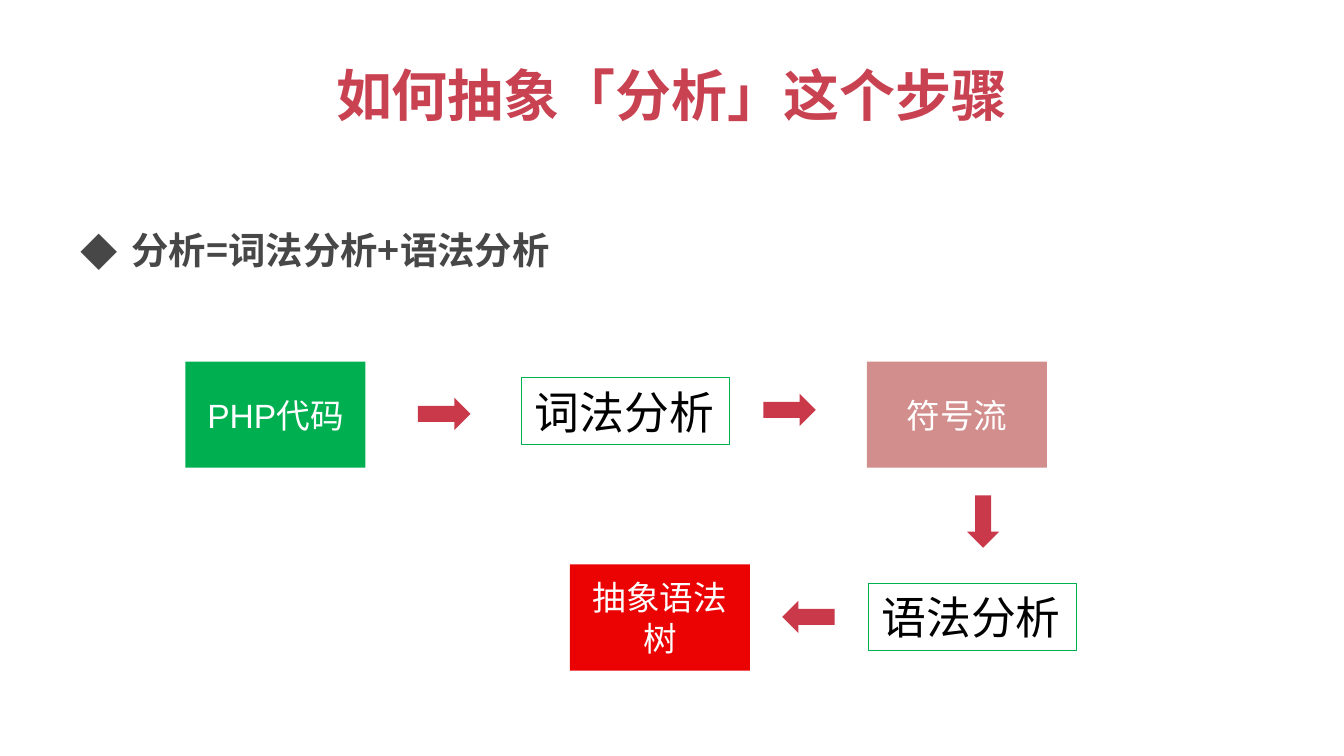
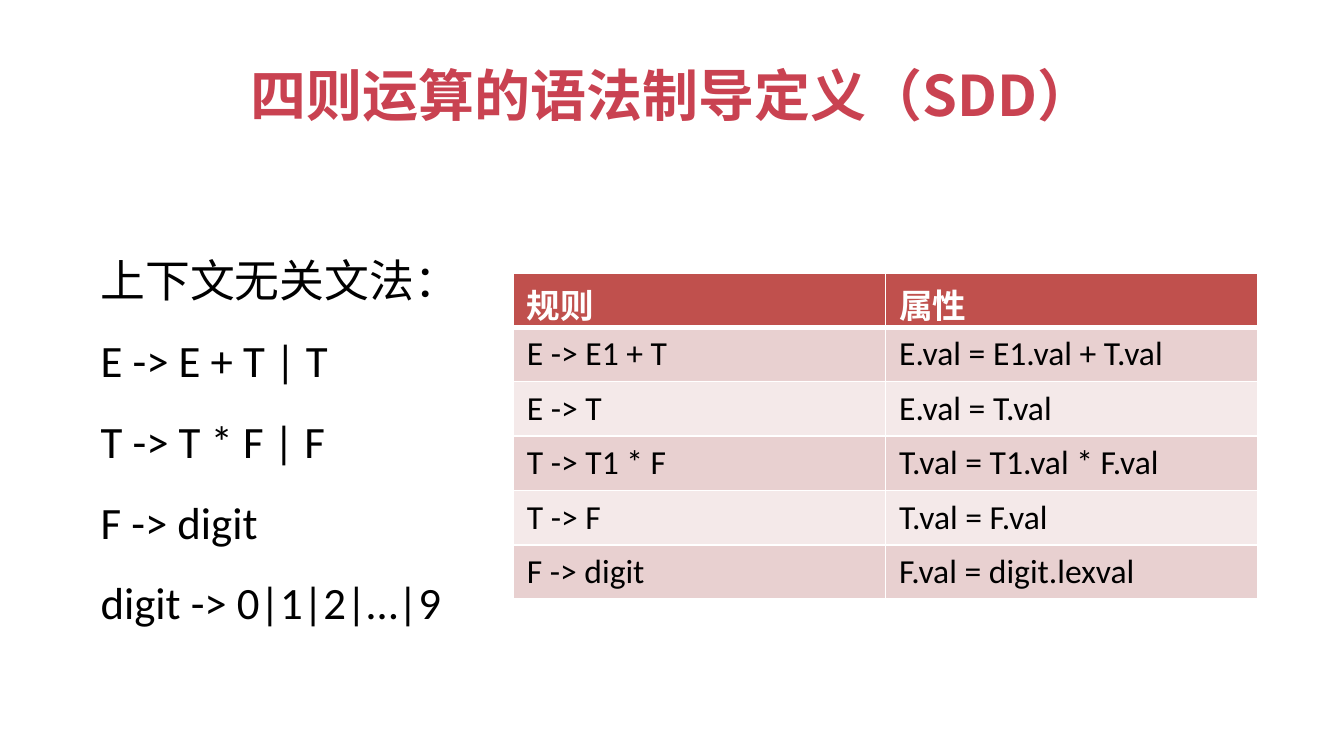
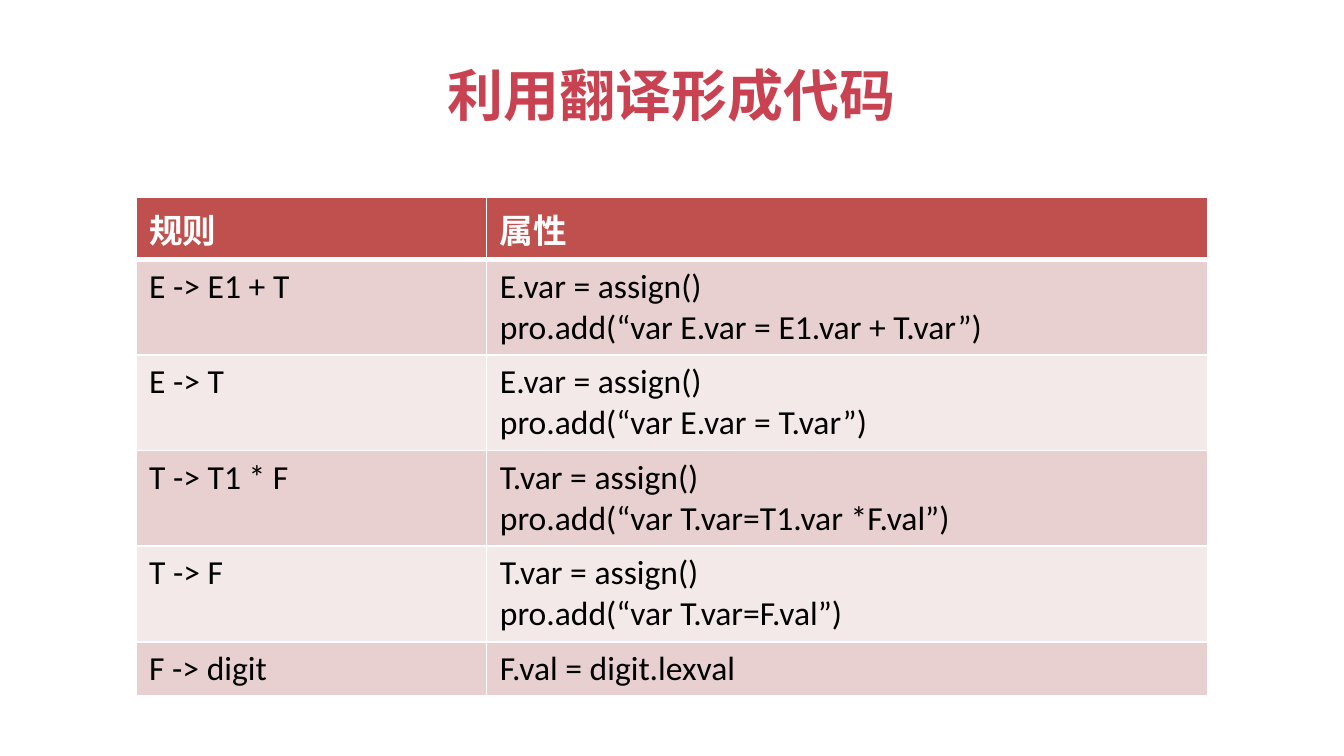
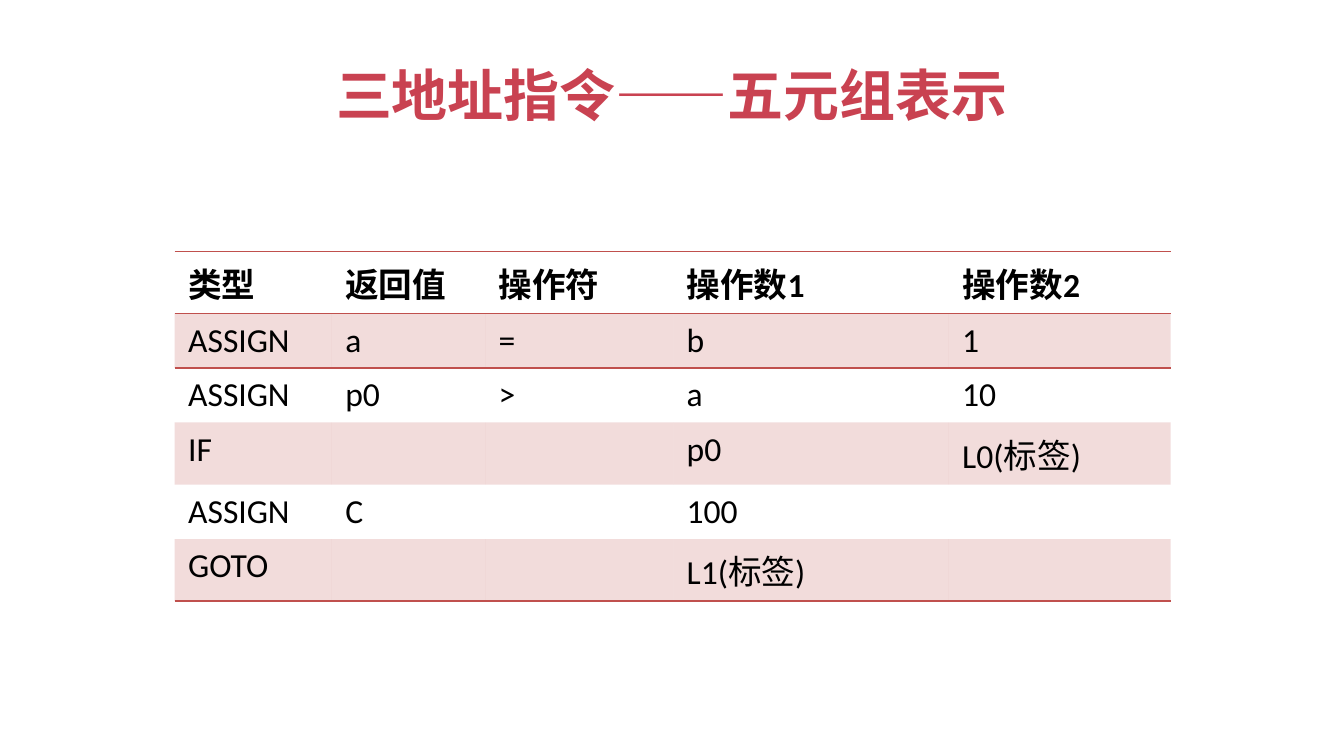
import lxml.etree
import pptx
import pptx.dml.color
import pptx.enum.shapes
import pptx.enum.text
import pptx.oxml.ns
import pptx.util

FORM = pptx.enum.shapes.MSO_SHAPE
ALIGN = pptx.enum.text.PP_ALIGN
MIDDLE = pptx.enum.text.MSO_ANCHOR.MIDDLE
FIT = pptx.enum.text.MSO_AUTO_SIZE.SHAPE_TO_FIT_TEXT
qn = pptx.oxml.ns.qn
HAN = "Noto Sans CJK SC"
ROSE, ARROW, BRICK, GREEN = "C94251", "C9394A", "C0504D", "00B050"
WHITE, BLACK = "FFFFFF", "000000"
PLAIN = "{2D5ABB26-0587-4C30-8999-92F81FD0307C}"  # table style without fills or grid

# The grid has 100 columns and 56.25 rows of square units.
deck = pptx.Presentation()
UNIT = pptx.util.Inches(0.1)
deck.slide_width, deck.slide_height = 100 * UNIT, int(56.25 * UNIT)


def hue(code):
    return pptx.dml.color.RGBColor.from_string(code)


def write(frame, text, size, face, color, bold=False, **form):
    """Fill a text frame, one paragraph a line; form holds paragraph values."""
    look = {"size": pptx.util.Pt(size), "name": face, "bold": bold}
    for num, line in enumerate(text.split("\n")):
        para = frame.add_paragraph() if num else frame.paragraphs[0]
        for key, val in form.items():
            setattr(para, key, val)
        run = para.add_run()
        run.text = line
        for key, val in look.items():
            setattr(run.font, key, val)
        run.font.color.rgb = hue(color)
        lxml.etree.SubElement(run._r.get_or_add_rPr(), qn("a:ea"), typeface=HAN)


# Titles
slides = []
for text in ("如何抽象「分析」这个步骤", "四则运算的语法制导定义（SDD）",
             "利用翻译形成代码", "三地址指令——五元组表示"):
    slide = deck.slides.add_slide(deck.slide_layouts[5])
    title = slide.shapes.title
    for key, val in {"left": 5, "top": 2.3, "width": 90, "height": 9.4}.items():
        setattr(title, key, int(val * UNIT))
    title.text_frame.vertical_anchor = MIDDLE
    write(title.text_frame, text, 30, HAN, ROSE, True, alignment=ALIGN.CENTER)
    slides.append(slide)
flow, rules, code, tuples = slides

# Slide 1: bullet line
box = flow.shapes.add_textbox(*(int(n * UNIT) for n in (5, 13.1, 90, 37.1)))
box.text_frame.word_wrap = True
write(box.text_frame, "分析=词法分析+语法分析", 20, HAN, "474747", True,
      line_spacing=2.0, space_before=pptx.util.Pt(4))
props = box.text_frame.paragraphs[0]._p.get_or_add_pPr()
props.set("marL", str(int(3.8 * UNIT)))
props.set("indent", str(int(-3.8 * UNIT)))
lxml.etree.SubElement(props, qn("a:buFont"), typeface=HAN)
lxml.etree.SubElement(props, qn("a:buChar"), char="◆")

# Slide 1: data blocks, steps and arrows
for x, y, text, fill in ((13.8, 26.9, "PHP代码", GREEN),
                         (64.5, 26.9, "符号流", "D28E8C"),
                         (42.4, 42, "抽象语法树", "EB0303")):
    block = flow.shapes.add_shape(
        FORM.RECTANGLE, *(int(n * UNIT) for n in (x, y, 13.4, 7.9)))
    block.shadow.inherit = False
    block.fill.solid()
    block.fill.fore_color.rgb = hue(fill)
    block.line.fill.background()
    block.text_frame.vertical_anchor = MIDDLE
    write(block.text_frame, text, 18, "Arial", WHITE, alignment=ALIGN.CENTER)

for x, y, text in ((38.8, 28.1, "词法分析"), (64.6, 43.4, "语法分析")):
    step = flow.shapes.add_shape(
        FORM.RECTANGLE, *(int(n * UNIT) for n in (x, y, 15.5, 5)))
    step.shadow.inherit = False
    step.fill.background()
    step.line.color.rgb = hue(GREEN)
    step.line.width = pptx.util.Pt(0.75)
    for key, val in {"word_wrap": False, "auto_size": FIT}.items():
        setattr(step.text_frame, key, val)
    write(step.text_frame, text, 24, HAN, BLACK, alignment=ALIGN.LEFT)

for x, y, turn in ((31.1, 29.6, 0), (56.8, 29.3, 0), (71.2, 37.6, 90), (58.2, 44.7, 180)):
    arrow = flow.shapes.add_shape(
        FORM.RIGHT_ARROW, *(int(n * UNIT) for n in (x, y, 3.9, 2.4)))
    arrow.shadow.inherit = False
    arrow.rotation = turn
    arrow.fill.solid()
    arrow.fill.fore_color.rgb = hue(ARROW)
    arrow.line.fill.background()

# Slide 2: grammar
box = rules.shapes.add_textbox(*(int(n * UNIT) for n in (6.5, 16.3, 28.9, 30.7)))
for key, val in {"word_wrap": False, "auto_size": FIT}.items():
    setattr(box.text_frame, key, val)
write(box.text_frame, "上下文无关文法：\nE -> E + T | T\nT -> T * F | F\n"
      "F -> digit\ndigit -> 0|1|2|…|9", 24, "Calibri", BLACK, line_spacing=1.5)

# Slides 2 to 4: tables
HEAD = ("规则", "属性")
LAST = ("F -> digit", "F.val = digit.lexval")
tables = (
    (rules, 38.2, 20.3, (27.7, 27.7), True, (
        HEAD,
        ("E -> E1 + T", "E.val = E1.val + T.val"),
        ("E -> T", "E.val = T.val"),
        ("T -> T1 * F", "T.val = T1.val * F.val"),
        ("T -> F", "T.val = F.val"),
        LAST)),
    (code, 10.1, 14.7, (26.1, 53.7), True, (
        HEAD,
        ("E -> E1 + T", "E.var = assign()\npro.add(“var E.var = E1.var + T.var”)"),
        ("E -> T", "E.var = assign()\npro.add(“var E.var = T.var”)"),
        ("T -> T1 * F", "T.var = assign()\npro.add(“var T.var=T1.var *F.val”)"),
        ("T -> F", "T.var = assign()\npro.add(“var T.var=F.val”)"),
        LAST)),
    (tuples, 13, 18.7, (11.7, 11.4, 14, 20.5, 16.5), False, (
        ("类型", "返回值", "操作符", "操作数1", "操作数2"),
        ("ASSIGN", "a", "=", "b", "1"),
        ("ASSIGN", "p0", ">", "a", "10"),
        ("IF", "", "", "p0", "L0(标签)"),
        ("ASSIGN", "C", "", "100", ""),
        ("GOTO", "", "", "L1(标签)", ""))),
)
for slide, x, y, cols, solid, rows in tables:
    frame = slide.shapes.add_table(
        len(rows), len(cols),
        *(int(n * UNIT) for n in (x, y, sum(cols), 4.05 * len(rows))))
    frame.element.find(".//" + qn("a:tableStyleId")).text = PLAIN
    grid = frame.table
    for col, wide in zip(grid.columns, cols):
        col.width = int(wide * UNIT)
    for r, row in enumerate(rows):
        top, band = r == 0, r % 2 == 1
        if solid:
            edges = {"L": 1, "R": 1, "T": 3 if r == 1 else 1, "B": 3 if top else 1}
            fill = BRICK if top else "E8D0D0" if band else "F4E9E9"
        else:
            edges = {"T": 1, "B": 1} if top else {"T": 1} if r == 1 else {}
            if r == len(rows) - 1:
                edges = {"B": 1}
            fill = BRICK if band else None
        for c, text in enumerate(row):
            cell = grid.cell(r, c)
            props = cell._tc.get_or_add_tcPr()
            for side, thick in edges.items():
                line = lxml.etree.SubElement(
                    props, qn("a:ln" + side), w=str(pptx.util.Pt(thick)))
                paint = lxml.etree.SubElement(line, qn("a:solidFill"))
                lxml.etree.SubElement(
                    paint, qn("a:srgbClr"), val=WHITE if solid else BRICK)
            if fill:
                cell.fill.solid()
                cell.fill.fore_color.rgb = hue(fill)
                if not solid:
                    shade = props.find(qn("a:solidFill")).find(qn("a:srgbClr"))
                    lxml.etree.SubElement(shade, qn("a:alpha"), val="20000")
            else:
                cell.fill.background()
            if text:
                write(cell.text_frame, text, 18, "Calibri",
                      WHITE if solid and top else BLACK, top)

deck.save("out.pptx")
